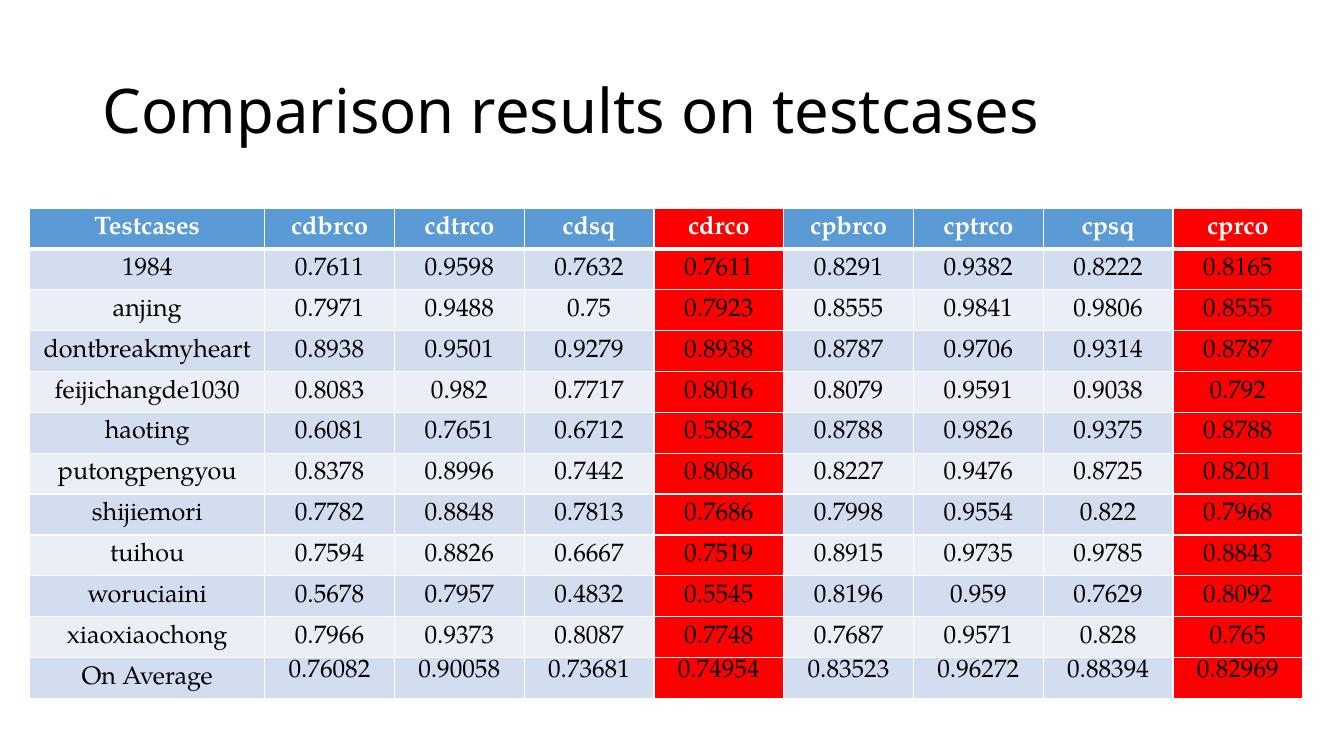
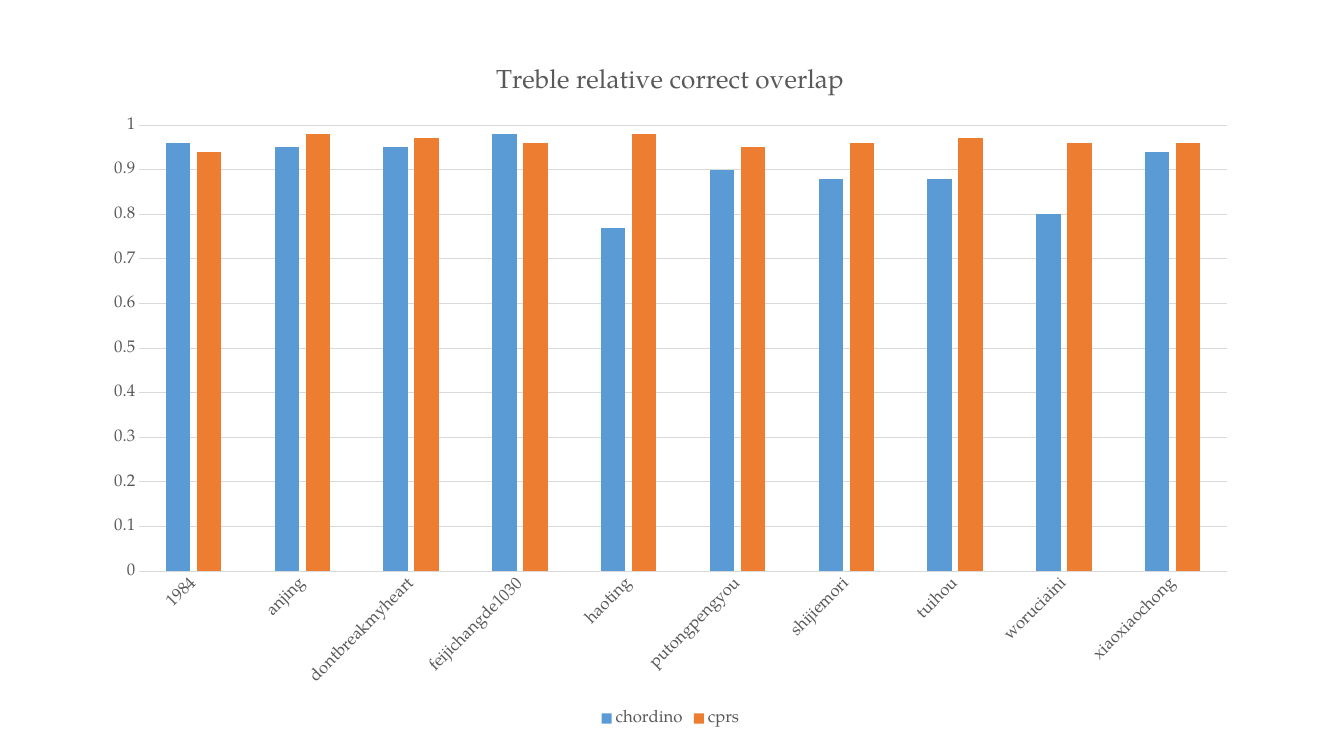
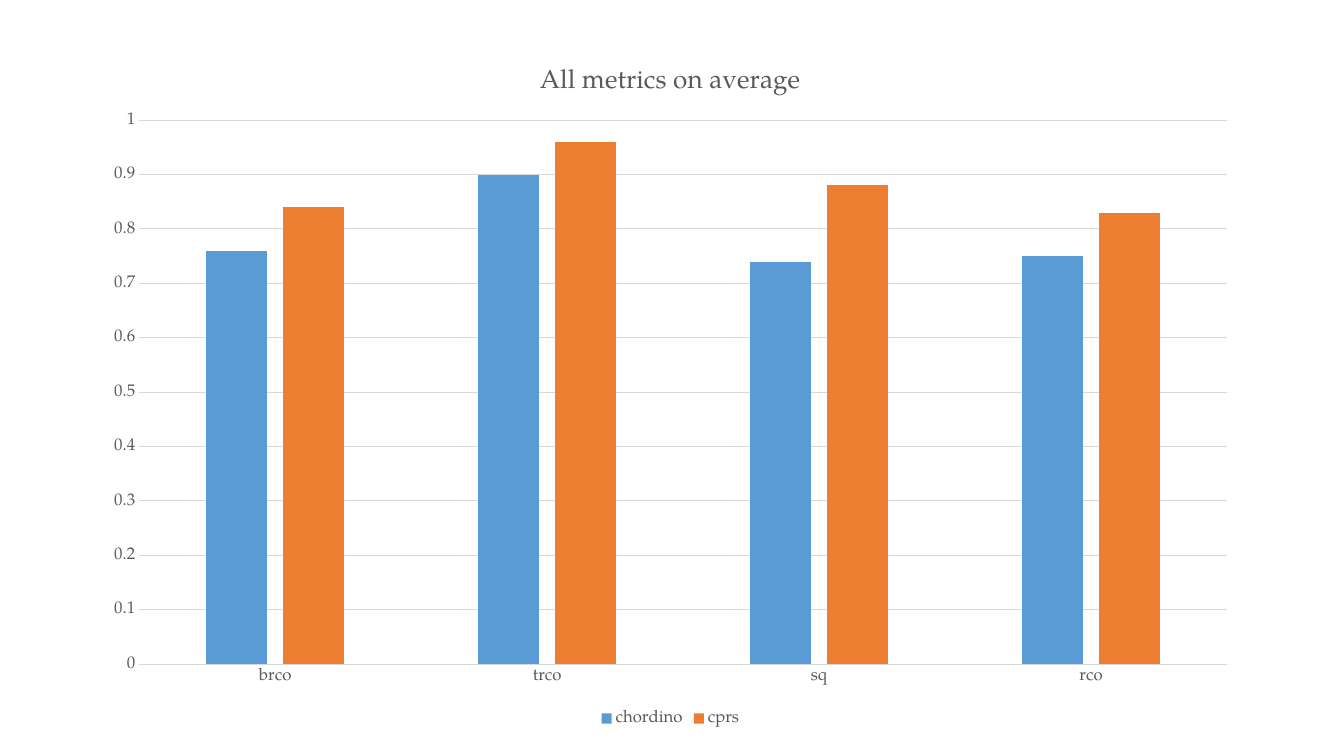
import pptx
import pptx.chart.data
import pptx.dml.color
import pptx.enum.chart
import pptx.enum.text
import pptx.oxml
import pptx.oxml.ns
import pptx.util
from dataclasses import dataclass

Cm, Pt = pptx.util.Cm, pptx.util.Pt
ALIGN = pptx.enum.text.PP_ALIGN
ANCHOR = pptx.enum.text.MSO_ANCHOR
TICK = pptx.enum.chart.XL_TICK_MARK

# Content
TITLE = "Comparison results on testcases"
HEADER = ["Testcases", "cdbrco", "cdtrco", "cdsq", "cdrco",
          "cpbrco", "cptrco", "cpsq", "cprco"]
RESULTS = [
    ("1984", 0.7611, 0.9598, 0.7632, 0.7611, 0.8291, 0.9382, 0.8222, 0.8165),
    ("anjing", 0.7971, 0.9488, 0.75, 0.7923, 0.8555, 0.9841, 0.9806, 0.8555),
    ("dontbreakmyheart", 0.8938, 0.9501, 0.9279, 0.8938, 0.8787, 0.9706, 0.9314, 0.8787),
    ("feijichangde1030", 0.8083, 0.982, 0.7717, 0.8016, 0.8079, 0.9591, 0.9038, 0.792),
    ("haoting", 0.6081, 0.7651, 0.6712, 0.5882, 0.8788, 0.9826, 0.9375, 0.8788),
    ("putongpengyou", 0.8378, 0.8996, 0.7442, 0.8086, 0.8227, 0.9476, 0.8725, 0.8201),
    ("shijiemori", 0.7782, 0.8848, 0.7813, 0.7686, 0.7998, 0.9554, 0.822, 0.7968),
    ("tuihou", 0.7594, 0.8826, 0.6667, 0.7519, 0.8915, 0.9735, 0.9785, 0.8843),
    ("woruciaini", 0.5678, 0.7957, 0.4832, 0.5545, 0.8196, 0.959, 0.7629, 0.8092),
    ("xiaoxiaochong", 0.7966, 0.9373, 0.8087, 0.7748, 0.7687, 0.9571, 0.828, 0.765),
]
AVERAGE = ("On Average", 0.76082, 0.90058, 0.73681, 0.74954,
           0.83523, 0.96272, 0.88394, 0.82969)
METRICS = ["brco", "trco", "sq", "rco"]
HIGHLIGHTED = {"cdrco", "cprco"}
METHODS = {"chordino": "cd", "cprs": "cp"}  # method and its column prefix


# Look
@dataclass(frozen=True)
class Theme:
    title_font: str = "Noto Sans"
    body_font: str = "TeX Gyre Pagella"
    title_size: float = 44
    table_size: float = 18
    chart_title_size: float = 18.6
    label_size: float = 12
    text: str = "000000"
    white: str = "FFFFFF"
    grey: str = "595959"
    grid: str = "D9D9D9"
    red: str = "FF0000"
    blue: str = "5B9BD5"
    orange: str = "ED7D31"
    bands: tuple = ("D2DEEF", "EAEFF7")


T = Theme()


def rgb(color):
    return pptx.dml.color.RGBColor.from_string(color)


def set_font(font, size=T.label_size, color=T.grey, name=T.body_font, bold=False):
    font.size, font.name, font.bold = Pt(size), name, bold
    font.color.rgb = rgb(color)


def write(tf, text, align=None, spacing=None, **fmt):
    p = tf.paragraphs[0]
    p.alignment, p.line_spacing = align, spacing
    r = p.add_run()
    r.text = text
    set_font(r.font, **fmt)


def set_borders(cell, bottom=1.0):
    tcPr = cell._tc.get_or_add_tcPr()
    for i, (side, width) in enumerate((("L", 1), ("R", 1), ("T", 1), ("B", bottom))):
        tcPr.insert(i, pptx.oxml.parse_xml(
            f'<a:ln{side} {pptx.oxml.ns.nsdecls("a")} w="{Pt(width)}"><a:solidFill>'
            f'<a:srgbClr val="{T.white}"/></a:solidFill></a:ln{side}>'))


# Results table
def add_results(slide):
    rows = [HEADER, *RESULTS, AVERAGE]
    first_w, col_w, row_h = Cm(5.92), Cm(3.27), Cm(1.03)
    width = first_w + col_w * (len(HEADER) - 1)
    table = slide.shapes.add_table(len(rows), len(HEADER), Cm(0.75), Cm(5.24),
                                   width, row_h * len(rows)).table
    for c, col in enumerate(table.columns):
        col.width = col_w if c else first_w
    for r, values in enumerate(rows):
        table.rows[r].height = row_h
        for c, value in enumerate(values):
            cell = table.cell(r, c)
            cell.margin_left = cell.margin_right = cell.margin_top = Cm(0.03)
            cell.margin_bottom = 0
            is_average = values is AVERAGE and c > 0
            cell.vertical_anchor = ANCHOR.TOP if is_average else ANCHOR.MIDDLE
            band = T.bands[(r - 1) % 2] if r else T.blue
            cell.fill.solid()
            cell.fill.fore_color.rgb = rgb(T.red if HEADER[c] in HIGHLIGHTED else band)
            set_borders(cell, bottom=1 if r else 3)
            write(cell.text_frame, str(value), align=ALIGN.CENTER, size=T.table_size,
                  color=T.text if r else T.white, bold=r == 0)


# Column charts
def place_plot(chart, top, height):
    plot_area = chart._chartSpace.chart.plotArea
    for old in plot_area.findall(pptx.oxml.ns.qn("c:layout")):
        plot_area.remove(old)
    box = {"x": 0.0417, "y": top, "w": 0.9386, "h": height}
    places = "".join(f'<c:{k}Mode val="edge"/>' for k in "xy")
    places += "".join(f'<c:{k} val="{v}"/>' for k, v in box.items())
    plot_area.insert(0, pptx.oxml.parse_xml(
        f'<c:layout {pptx.oxml.ns.nsdecls("c")}><c:manualLayout>'
        f'<c:layoutTarget val="inner"/>{places}</c:manualLayout></c:layout>'))


def add_column_chart(slide, title, categories, series, plot, label_angle=0):
    data = pptx.chart.data.CategoryChartData()
    data.categories = categories
    for name, values in series.items():
        data.add_series(name, [round(v, 2) for v in values])
    chart = slide.shapes.add_chart(
        pptx.enum.chart.XL_CHART_TYPE.COLUMN_CLUSTERED,
        Cm(2.29), Cm(1.07), Cm(29.21), Cm(17.35), data).chart
    set_font(chart.font, size=10, color=T.text)
    write(chart.chart_title.text_frame, title, size=T.chart_title_size)
    chart.chart_title.include_in_layout = False

    chart.has_legend = True
    chart.legend.position = pptx.enum.chart.XL_LEGEND_POSITION.BOTTOM
    chart.legend.include_in_layout = False
    set_font(chart.legend.font)

    columns = chart.plots[0]
    columns.gap_width, columns.overlap, columns.vary_by_categories = 219, -27, False
    for s, color in zip(columns.series, (T.blue, T.orange)):
        s.format.fill.solid()
        s.format.fill.fore_color.rgb = rgb(color)

    cat, val = chart.category_axis, chart.value_axis
    for axis in (cat, val):
        axis.major_tick_mark = axis.minor_tick_mark = TICK.NONE
        set_font(axis.tick_labels.font)
    val.minimum_scale, val.maximum_scale, val.major_unit = 0, 1, 0.1
    val.tick_labels.number_format = "General"
    val.tick_labels.number_format_is_linked = False
    val.format.line.fill.background()
    for line in (cat.format.line, val.major_gridlines.format.line):
        line.width = Pt(0.75)
        line.color.rgb = rgb(T.grid)
    body = cat._element.find(pptx.oxml.ns.qn("c:txPr")).find(pptx.oxml.ns.qn("a:bodyPr"))
    body.set("rot", str(label_angle * 60000))
    place_plot(chart, *plot)


def main():
    prs = pptx.Presentation()
    prs.slide_width, prs.slide_height = Cm(33.87), Cm(19.05)
    title_only, blank = prs.slide_layouts[5], prs.slide_layouts[6]

    # Comparison table
    slide = prs.slides.add_slide(title_only)
    sp = slide.shapes.title
    sp.left, sp.top, sp.width, sp.height = Cm(2.33), Cm(1.01), Cm(29.21), Cm(3.68)
    sp.text_frame.vertical_anchor = ANCHOR.MIDDLE
    write(sp.text_frame, TITLE, align=ALIGN.LEFT, spacing=0.9,
          size=T.title_size, color=T.text, name=T.title_font)
    add_results(slide)

    # Treble overlap for each test case
    treble = {name: [row[HEADER.index(prefix + "trco")] for row in RESULTS]
              for name, prefix in METHODS.items()}
    add_column_chart(prs.slides.add_slide(blank), "Treble relative correct overlap",
                     [row[0] for row in RESULTS], treble, (0.12, 0.648), label_angle=-45)

    # Averages of all metrics
    averages = {name: [AVERAGE[HEADER.index(prefix + m)] for m in METRICS]
                for name, prefix in METHODS.items()}
    add_column_chart(prs.slides.add_slide(blank), "All metrics on average",
                     METRICS, averages, (0.113, 0.79))
    prs.save("out.pptx")


if __name__ == "__main__":
    main()
